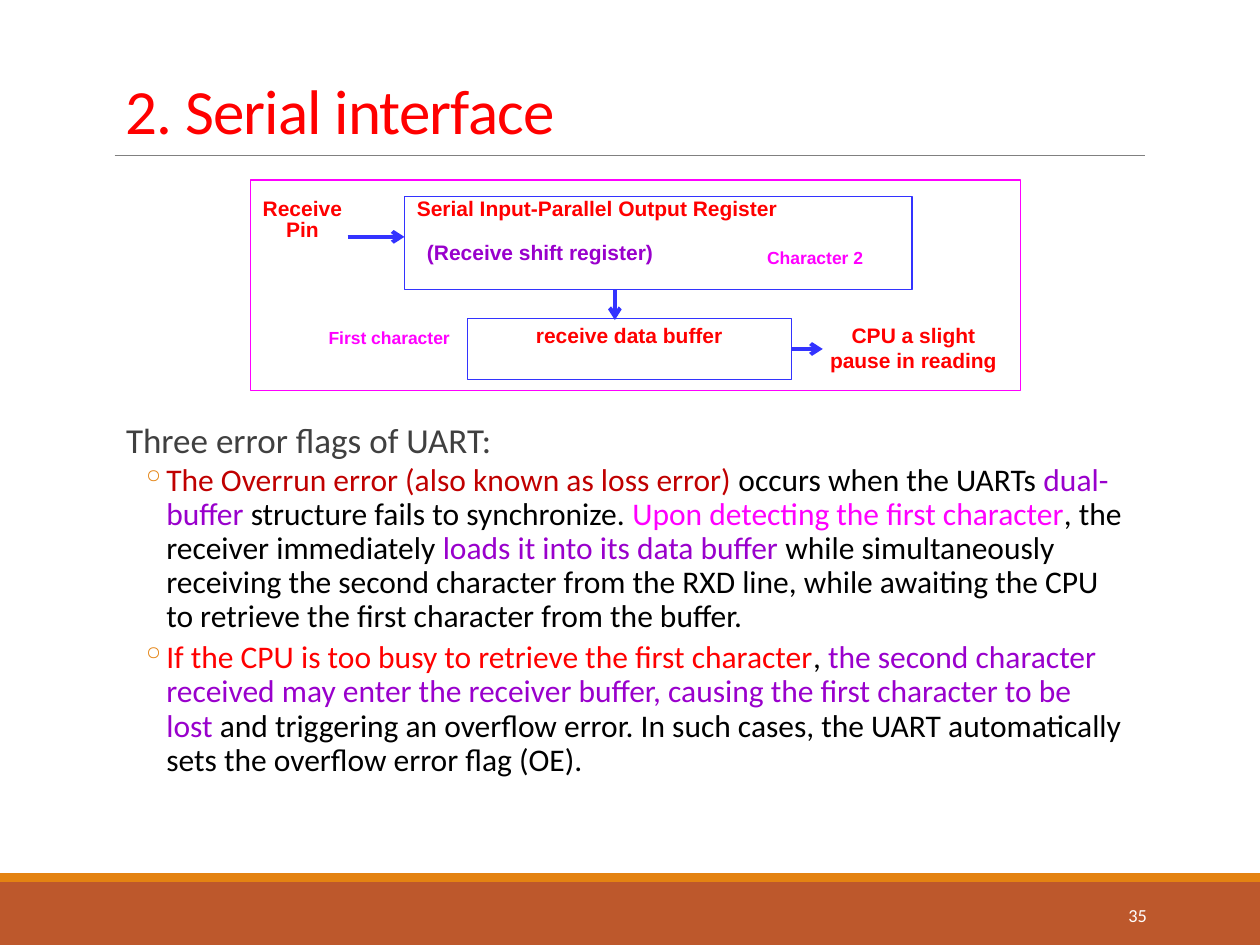
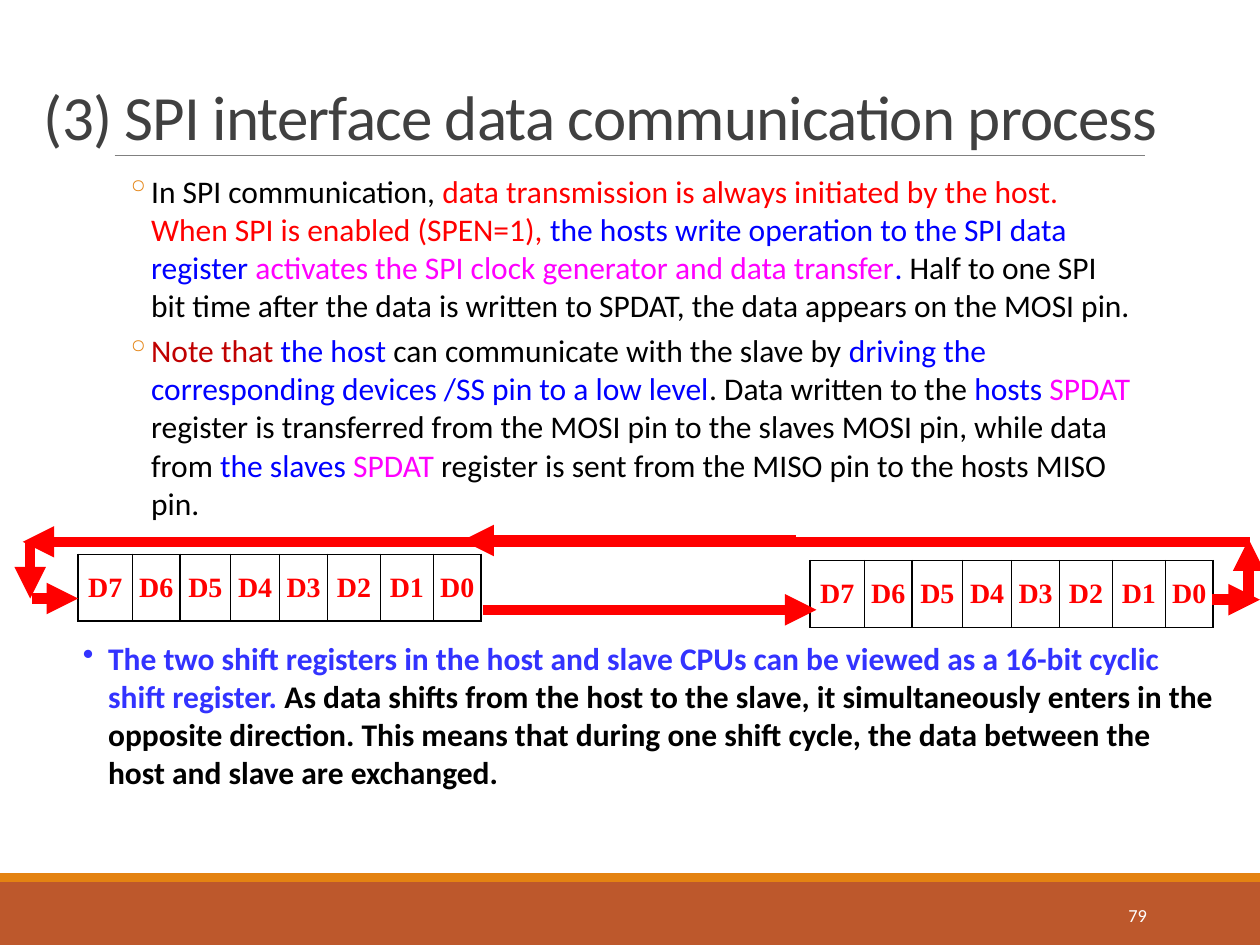
from dataclasses import dataclass

from lxml.etree import SubElement
from pptx import Presentation
from pptx.dml.color import RGBColor
from pptx.enum.shapes import MSO_CONNECTOR, MSO_SHAPE
from pptx.enum.text import MSO_ANCHOR, PP_ALIGN
from pptx.oxml import parse_xml
from pptx.oxml.ns import nsdecls, qn
from pptx.util import Pt

EMU_PER_PIXEL = 9144


@dataclass(frozen=True)
class Theme:
    white: str = "FFFFFF"
    black: str = "000000"
    gray: str = "404040"
    rule: str = "808080"
    footer: str = "BD582C"
    accent: str = "E48312"
    red: str = "FF0000"
    dark_red: str = "C00000"
    magenta: str = "FF00FF"
    purple: str = "9900CC"
    blue: str = "0000FF"
    diagram_blue: str = "3333FF"
    body_font: str = "Calibri"
    diagram_font: str = "Arial"
    register_font: str = "Times New Roman"
    title_size: float = 36
    lead_size: float = 20
    body_size: float = 18
    bit_size: float = 16
    label_size: float = 12
    note_size: float = 10
    number_size: float = 10.5


THEME = Theme()
BIT_WIDTHS = [43, 38, 40, 39, 38, 42, 42, 38]
BIT_NAMES = [f"D{bit}" for bit in range(7, -1, -1)]


def px(length):
    return length * EMU_PER_PIXEL


def color(value):
    return RGBColor.from_string(value)


def apply_format(target, values):
    for name, value in values.items():
        setattr(target, name, value)


def write_runs(paragraph, runs, size, font, bold=False, spacing=None):
    for text, run_color in runs:
        run = paragraph.add_run()
        run.text = text
        apply_format(run.font, {"size": Pt(size), "name": font, "bold": bold})
        run.font.color.rgb = color(run_color)
        if spacing:
            run._r.get_or_add_rPr().set("spc", str(spacing))


def set_indent(paragraph, margin, hanging=0, bullet=None, bullet_color=None):
    properties = paragraph._p.get_or_add_pPr()
    properties.set("marL", str(px(margin)))
    properties.set("indent", str(px(-hanging)))
    if bullet_color:
        holder = SubElement(properties, qn("a:buClr"))
        SubElement(holder, qn("a:srgbClr")).set("val", bullet_color)
    if bullet:
        SubElement(properties, qn("a:buChar")).set("char", bullet)


def add_text_box(slide, box, anchor=MSO_ANCHOR.TOP, side_inset=10):
    frame = slide.shapes.add_textbox(*map(px, box)).text_frame
    apply_format(frame, {
        "word_wrap": True, "vertical_anchor": anchor,
        "margin_left": px(side_inset), "margin_right": px(side_inset),
        "margin_top": px(5), "margin_bottom": px(5),
    })
    return frame


def add_rectangle(slide, box, fill=None, line=None):
    shape = slide.shapes.add_shape(MSO_SHAPE.RECTANGLE, *map(px, box))
    shape.shadow.inherit = False
    if fill:
        shape.fill.solid()
        shape.fill.fore_color.rgb = color(fill)
    else:
        shape.fill.background()
    if line:
        shape.line.color.rgb = color(line)
        shape.line.width = Pt(0.75)
    else:
        shape.line.fill.background()
    return shape


def add_line(slide, start, end, line_color, width, arrowhead=None):
    connector = slide.shapes.add_connector(
        MSO_CONNECTOR.STRAIGHT, *map(px, (*start, *end)))
    connector.line.color.rgb = color(line_color)
    connector.line.width = Pt(width)
    if arrowhead:
        line = connector.line._get_or_add_ln()
        SubElement(line, qn("a:tailEnd")).set("type", arrowhead)
    SubElement(connector._element.spPr, qn("a:effectLst"))
    return connector


def add_label(slide, box, text, text_color, size=THEME.label_size,
              alignment=PP_ALIGN.LEFT, line_spacing=1.0):
    paragraph = add_text_box(slide, box).paragraphs[0]
    apply_format(paragraph, {"alignment": alignment, "line_spacing": line_spacing})
    write_runs(paragraph, [(text, text_color)], size, THEME.diagram_font, bold=True)


def add_bullets(frame, items, line_spacing, margin=42, space_after=4,
                bullet="◦", bullet_color=THEME.accent, bold=False):
    for runs in items:
        paragraph = frame.paragraphs[0]
        if paragraph.runs:
            paragraph = frame.add_paragraph()
        set_indent(paragraph, margin, 20, bullet, bullet_color)
        apply_format(paragraph, {
            "line_spacing": line_spacing, "space_after": Pt(space_after)})
        write_runs(paragraph, runs, THEME.body_size, THEME.body_font, bold)


def border_cell(cell):
    properties = cell._tc.get_or_add_tcPr()
    for index, side in enumerate(("lnL", "lnR", "lnT", "lnB")):
        properties.insert(index, parse_xml(
            f'<a:{side} {nsdecls("a")} w="12700"><a:solidFill>'
            f'<a:srgbClr val="{THEME.black}"/></a:solidFill></a:{side}>'))


def add_shift_register(slide, left, top):
    table = slide.shapes.add_table(
        1, len(BIT_NAMES), px(left), px(top), px(sum(BIT_WIDTHS)), px(53)).table
    apply_format(table, {"first_row": False, "horz_banding": False})
    for column, cell, width, name in zip(
            table.columns, table.rows[0].cells, BIT_WIDTHS, BIT_NAMES):
        column.width = px(width)
        apply_format(cell, {
            "margin_left": 0, "margin_right": 0, "margin_top": 0,
            "margin_bottom": 0, "vertical_anchor": MSO_ANCHOR.MIDDLE})
        cell.fill.solid()
        cell.fill.fore_color.rgb = color(THEME.white)
        border_cell(cell)
        paragraph = cell.text_frame.paragraphs[0]
        paragraph.alignment = PP_ALIGN.CENTER
        write_runs(paragraph, [(name, THEME.red)], THEME.bit_size,
                   THEME.register_font, bold=True)


def add_base_slide(presentation, title, title_box, title_color, number):
    slide = presentation.slides.add_slide(presentation.slide_layouts[6])
    add_rectangle(slide, (0, 700, 1000, 50), THEME.footer)
    add_rectangle(slide, (0, 693, 1000, 7), THEME.accent)
    add_line(slide, (91, 123), (909, 123), THEME.rule, 0.5)
    heading = add_text_box(slide, title_box, MSO_ANCHOR.BOTTOM).paragraphs[0]
    heading.line_spacing = 0.85
    write_runs(heading, [(title, title_color)], THEME.title_size,
               THEME.body_font, spacing=-50)
    footer = add_text_box(slide, (812, 706, 108, 40), MSO_ANCHOR.MIDDLE).paragraphs[0]
    footer.alignment = PP_ALIGN.RIGHT
    write_runs(footer, [(str(number), THEME.white)], THEME.number_size, THEME.body_font)
    return slide


def add_receiver_diagram(slide):
    add_rectangle(slide, (199, 143, 611, 167), THEME.white, THEME.magenta)
    add_rectangle(slide, (321, 156, 403, 74), THEME.white, THEME.diagram_blue)
    data_buffer = add_rectangle(slide, (371, 253, 257, 48), line=THEME.diagram_blue)
    data_buffer.text_frame.vertical_anchor = MSO_ANCHOR.TOP
    paragraph = data_buffer.text_frame.paragraphs[0]
    apply_format(paragraph, {"alignment": PP_ALIGN.CENTER, "line_spacing": 0.9})
    write_runs(paragraph, [("receive data buffer", THEME.red)],
               THEME.label_size, THEME.diagram_font, bold=True)

    add_label(slide, (329, 185, 285, 51), "(Receive shift register)", THEME.purple)
    add_label(slide, (321, 150, 403, 51), "Serial Input-Parallel Output Register", THEME.red)
    add_label(slide, (191, 153, 98, 79), "Receive Pin", THEME.red,
              alignment=PP_ALIGN.CENTER, line_spacing=0.85)
    add_label(slide, (642, 251, 166, 50), "CPU a slight pause in reading",
              THEME.red, alignment=PP_ALIGN.CENTER)
    add_label(slide, (599, 191, 120, 44), "Character 2", THEME.magenta, THEME.note_size)
    add_label(slide, (251, 255, 120, 44), "First character", THEME.magenta, THEME.note_size)

    arrows = [((276, 188), (321, 188)), ((488, 230), (488, 254)), ((628, 277), (653, 277))]
    connectors = [add_line(slide, start, end, THEME.diagram_blue, 2.25, "arrow")
                  for start, end in arrows]
    connectors[-1].begin_connect(data_buffer, 3)


def build_serial_slide(presentation):
    slide = add_base_slide(presentation, "2. Serial interface",
                           (90, 31, 825, 91), THEME.red, 35)
    add_receiver_diagram(slide)
    frame = add_text_box(slide, (90, 331, 801, 311), side_inset=0)
    lead = frame.paragraphs[0]
    set_indent(lead, 10)
    apply_format(lead, {"line_spacing": 0.9, "space_after": Pt(2)})
    write_runs(lead, [("Three error flags of UART:", THEME.gray)],
               THEME.lead_size, THEME.body_font)
    add_bullets(frame, [
        [("The Overrun error (also known as loss error) ", THEME.dark_red),
         ("occurs when the UARTs ", THEME.black),
         ("dual-buffer", THEME.purple),
         (" structure fails to synchronize. ", THEME.black),
         ("Upon detecting the first character", THEME.magenta),
         (", the receiver immediately ", THEME.black),
         ("loads it into its data buffer ", THEME.purple),
         ("while simultaneously receiving the second character from the RXD line, "
          "while awaiting the CPU to retrieve the first character from the buffer.",
          THEME.black)],
        [("If the CPU is too busy to retrieve the first character", THEME.red),
         (", ", THEME.black),
         ("the second character received may enter the receiver buffer, "
          "causing the first character to be lost", THEME.purple),
         (" and triggering an overflow error. In such cases, the UART automatically "
          "sets the overflow error flag (OE).", THEME.black)],
    ], 0.9)


def build_spi_slide(presentation):
    slide = add_base_slide(presentation, "(3) SPI interface data communication process",
                           (25, 36, 1003, 91), THEME.gray, 79)
    add_bullets(add_text_box(slide, (78, 131, 820, 405), side_inset=0), [
        [("In SPI communication, ", THEME.black),
         ("data transmission is always initiated by the host. "
          "When SPI is enabled (SPEN=1), ", THEME.red),
         ("the hosts write operation to the SPI data register ", THEME.blue),
         ("activates the SPI clock generator and data transfer", THEME.magenta),
         (".", THEME.blue),
         (" Half to one SPI bit time after the data is written to SPDAT, "
          "the data appears on the MOSI pin.", THEME.black)],
        [("Note that ", THEME.dark_red),
         ("the host", THEME.blue),
         (" can communicate with the slave by ", THEME.black),
         ("driving the corresponding devices /SS pin to a low level", THEME.blue),
         (". Data written to the ", THEME.black),
         ("hosts ", THEME.blue),
         ("SPDAT ", THEME.magenta),
         ("register is transferred from the MOSI pin to the slaves MOSI pin, "
          "while data from ", THEME.black),
         ("the slaves ", THEME.blue),
         ("SPDAT ", THEME.magenta),
         ("register is sent from the MISO pin to the hosts MISO pin.", THEME.black)],
    ], 1.01)
    add_bullets(add_text_box(slide, (47, 502, 927, 170)), [
        [("The two shift registers in the host and slave CPUs can be viewed as "
          "a 16-bit cyclic shift register. ", THEME.diagram_blue),
         ("As data shifts from the host to the slave, it simultaneously enters in the "
          "opposite direction. This means that during one shift cycle, the data between "
          "the host and slave are exchanged.", THEME.black)],
    ], 1.01, margin=29, space_after=18, bullet="•", bullet_color=None, bold=True)
    add_shift_register(slide, 62, 440)
    add_shift_register(slide, 643, 445)
    for start, end in [
        ((383, 484), (648, 484)), ((992, 430), (18, 430)), ((962, 476), (1000, 476)),
        ((991, 476), (991, 428)), ((25, 475), (62, 475)), ((24, 430), (24, 475)),
        ((632, 429), (367, 429)),
    ]:
        add_line(slide, start, end, THEME.red, 6, "triangle")


def main():
    presentation = Presentation()
    apply_format(presentation, {"slide_width": px(1000), "slide_height": px(750)})
    build_serial_slide(presentation)
    build_spi_slide(presentation)
    presentation.save("out.pptx")


if __name__ == "__main__":
    main()
